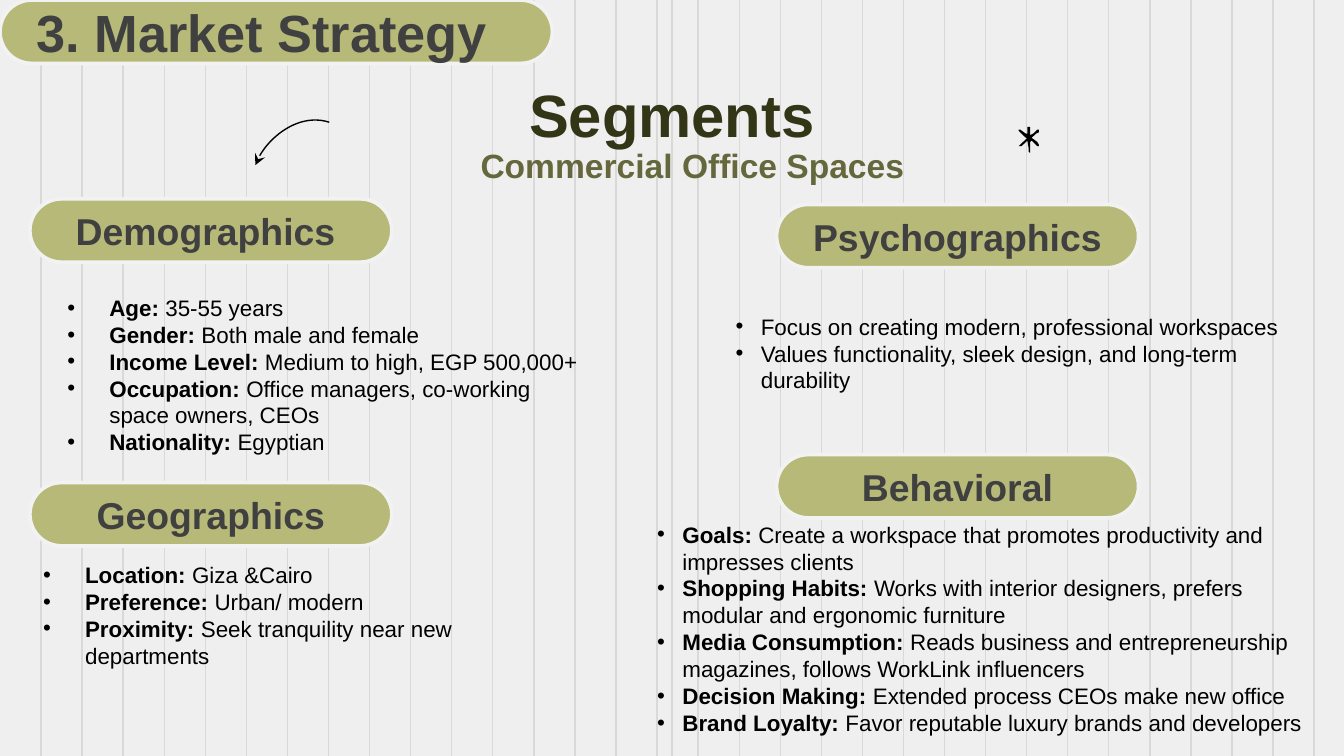
from lxml.etree import SubElement
from pptx import Presentation
from pptx.dml.color import RGBColor
from pptx.enum.shapes import MSO_CONNECTOR, MSO_SHAPE
from pptx.enum.text import MSO_ANCHOR, PP_ALIGN
from pptx.oxml.ns import qn
from pptx.util import Pt

BACKGROUND = RGBColor(0xEF, 0xEF, 0xEF)
GRID = RGBColor(0xD9, 0xD9, 0xD9)
OLIVE = RGBColor(0xB6, 0xB9, 0x78)
PILL_EDGE = RGBColor(0xF2, 0xF2, 0xF2)
PILL_TEXT = RGBColor(0x40, 0x40, 0x40)
DARK_OLIVE = RGBColor(0x33, 0x35, 0x17)
MID_OLIVE = RGBColor(0x65, 0x67, 0x3C)
BLACK = RGBColor(0, 0, 0)

WIDTH, HEIGHT = 720, 405
GRID_STEP = 22

STAR = [
    (8, 0), (7, 0), (7, 5), (6, 5), (2, 2), (1, 2), (1, 3), (2, 4), (6, 8),
    (7, 8), (2, 13), (1, 14), (3, 14), (6, 11), (7, 10), (8, 16), (8, 18),
    (9, 19), (9, 11), (10, 10), (12, 12), (14, 14), (15, 14), (15, 13),
    (14, 11), (10, 8), (13, 5), (15, 4), (15, 2), (14, 2), (11, 5), (9, 6),
    (9, 0),
]

SECTIONS = [
    ("Demographics ", (16, 106.5, 194, 34), (29, 154, 294.5, 94.5), 22.5, [
        ("Age: ", "35-55 years"),
        ("Gender: ", "Both male and female"),
        ("Income Level: ", "Medium to high, EGP 500,000+"),
        ("Occupation: ", "Office managers, co-working space owners, CEOs"),
        ("Nationality: ", "Egyptian"),
    ]),
    ("Geographics", (16, 258.5, 194, 34), (16, 297, 256.5, 65.5), 22.5, [
        ("Location: ", "Giza &Cairo"),
        ("Preference: ", "Urban/ modern"),
        ("Proximity: ", "Seek tranquility near new departments"),
    ]),
    ("Psychographics", (416, 109.5, 194, 34), (387, 164, 317, 51), 13.5, [
        ("", "Focus on creating modern, professional workspaces"),
        ("", "Values functionality, sleek design, and long-term durability"),
    ]),
    ("Behavioral", (416, 243.5, 194, 34), (345, 275.5, 370, 124), 13.5, [
        ("Goals: ", "Create a workspace that promotes productivity and "
                    "impresses clients"),
        ("Shopping Habits: ", "Works with interior designers, prefers "
                              "modular and ergonomic furniture"),
        ("Media Consumption: ", "Reads business and entrepreneurship "
                                "magazines, follows WorkLink influencers"),
        ("Decision Making: ", "Extended process CEOs make new office"),
        ("Brand Loyalty: ", "Favor reputable luxury brands and developers"),
    ]),
]


def add_run(p, text, size=12, color=BLACK, bold=False):
    """Append formatted text to a paragraph."""
    r = p.add_run()
    r.text = text
    r.font.name = "Arial"
    r.font.size = Pt(size)
    r.font.bold = bold
    r.font.color.rgb = color


def add_textbox(s, box):
    """Add a wrapping text box and return its text frame."""
    tf = s.shapes.add_textbox(*map(Pt, box)).text_frame
    tf.word_wrap = True
    return tf


def add_heading(s, box, text, anchor=MSO_ANCHOR.TOP, **fmt):
    """Add a centred bold heading."""
    tf = add_textbox(s, box)
    tf.vertical_anchor = anchor
    p = tf.paragraphs[0]
    p.alignment = PP_ALIGN.CENTER
    add_run(p, text, bold=True, **fmt)


def add_pill(s, box, text, size=20, right_inset=7.2):
    """Add a rounded olive label."""
    sp = s.shapes.add_shape(MSO_SHAPE.ROUNDED_RECTANGLE, *map(Pt, box))
    sp.adjustments[0] = 0.5
    sp.shadow.inherit = False
    sp.fill.solid()
    sp.fill.fore_color.rgb = OLIVE
    sp.line.color.rgb = PILL_EDGE
    sp.line.width = Pt(2)
    tf = sp.text_frame
    tf.margin_right = Pt(right_inset)
    tf.vertical_anchor = MSO_ANCHOR.MIDDLE
    p = tf.paragraphs[0]
    p.alignment = PP_ALIGN.CENTER
    add_run(p, text, size=size, color=PILL_TEXT, bold=True)


def add_bullets(s, box, indent, items):
    """Add a bulleted list of bold labels with plain details."""
    tf = add_textbox(s, box)
    for i, (label, detail) in enumerate(items):
        p = tf.add_paragraph() if i else tf.paragraphs[0]
        pPr = p._p.get_or_add_pPr()
        pPr.set("marL", str(Pt(indent)))
        pPr.set("indent", str(-Pt(indent)))
        color = SubElement(pPr, qn("a:buClr"))
        SubElement(color, qn("a:srgbClr"), val=str(BLACK))
        SubElement(pPr, qn("a:buFont"), typeface="Arial")
        SubElement(pPr, qn("a:buChar"), char="•")
        if label:
            add_run(p, label, bold=True)
        add_run(p, detail)


def add_grid(s, box):
    """Rule the box with evenly spaced vertical lines and a centre line."""
    x, y, w, h = box
    lines = [x + i * GRID_STEP for i in range(1, int(w / GRID_STEP) + 1)]
    for left in lines + [x + w / 2]:
        line = s.shapes.add_connector(
            MSO_CONNECTOR.STRAIGHT, Pt(left), Pt(y), Pt(left), Pt(y + h))
        line.line.color.rgb = GRID
        line.line.width = Pt(0.75)
        SubElement(line._element.spPr, qn("a:effectLst"))


def add_outline(s, points, close):
    """Add a freeform through the given points."""
    points = [(Pt(x), Pt(y)) for x, y in points]
    builder = s.shapes.build_freeform(*points[0])
    builder.add_line_segments(points[1:], close=close)
    sp = builder.convert_to_shape()
    sp.shadow.inherit = False
    return sp


def add_star(s, box):
    """Add a hand-drawn asterisk."""
    x, y, w, h = box
    sp = add_outline(s, [(x + w * a / 15, y + h * b / 19) for a, b in STAR], True)
    sp.fill.solid()
    sp.fill.fore_color.rgb = BLACK
    sp.line.fill.background()


def add_curved_arrow(s, box, steps=24):
    """Add an arc from the upper right of the box to an arrowhead at lower left."""
    x, y, w, h = box
    controls = [(1, 0.25), (0.56, 0), (0.11, 0.69), (0, 1.25)]
    points = []
    for i in range(steps + 1):
        t = i / steps
        weights = [(1 - t) ** 3, 3 * t * (1 - t) ** 2, 3 * t * t * (1 - t), t ** 3]
        a, b = (sum(k * c[axis] for k, c in zip(weights, controls))
                for axis in (0, 1))
        points.append((x + w * a, y + h * (b - 0.25)))
    sp = add_outline(s, points, False)
    sp.fill.background()
    sp.line.color.rgb = BLACK
    sp.line.width = Pt(0.75)
    SubElement(sp.line._get_or_add_ln(), qn("a:tailEnd"), type="stealth")


def main():
    """Build the market strategy slide."""
    prs = Presentation()
    prs.slide_width, prs.slide_height = Pt(WIDTH), Pt(HEIGHT)
    s = prs.slides.add_slide(prs.slide_layouts[6])
    s.background.fill.solid()
    s.background.fill.fore_color.rgb = BACKGROUND
    add_grid(s, (0, 0, WIDTH, HEIGHT))
    add_heading(s, (164, 23, 392, 60.5), "Segments", MSO_ANCHOR.BOTTOM,
                size=32, color=DARK_OLIVE)
    add_star(s, (545, 68, 11.5, 14))
    add_curved_arrow(s, (136.8, 65.5, 39.6, 23))
    add_pill(s, (0, 0, 296, 34), "3. Market Strategy", size=28, right_inset=22.8)
    add_heading(s, (191, 74, 360, 29), "Commercial Office Spaces",
                size=18, color=MID_OLIVE)
    for title, pill, body, indent, items in SECTIONS:
        add_pill(s, pill, title)
        add_bullets(s, body, indent, items)
    prs.save("out.pptx")


if __name__ == "__main__":
    main()
